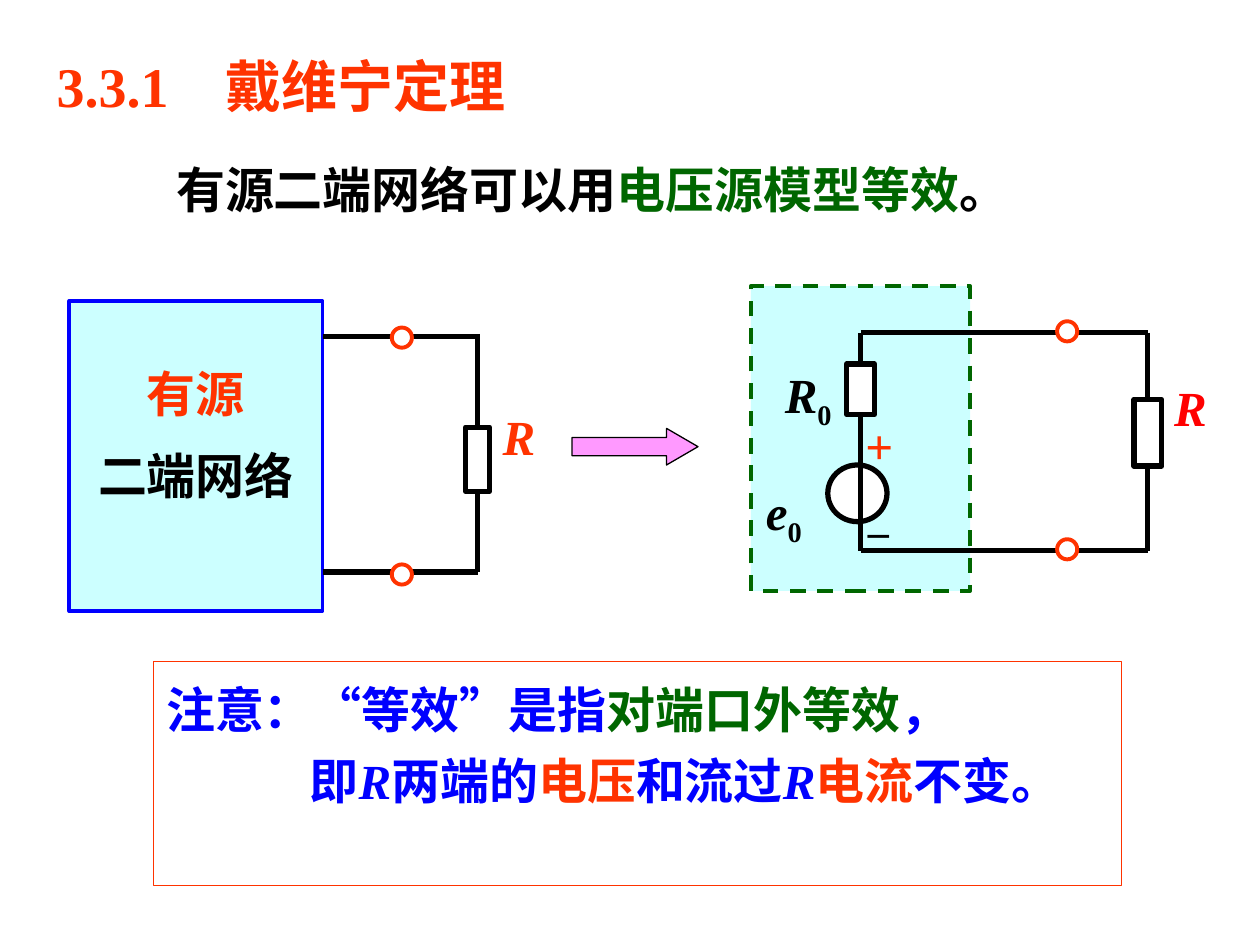
import pptx
import pptx.dml.color
import pptx.enum.dml
import pptx.enum.lang
import pptx.enum.shapes
import pptx.enum.text
import pptx.oxml
import pptx.oxml.ns
import pptx.util

Inches = pptx.util.Inches
Pt = pptx.util.Pt
SHAPE = pptx.enum.shapes.MSO_SHAPE
ALIGN = pptx.enum.text.PP_ALIGN
ANCHOR = pptx.enum.text.MSO_ANCHOR

BLACK, WHITE, RED, ORANGE = "000000", "FFFFFF", "FF0000", "FF3300"
BLUE, GREEN, CYAN, PINK = "0000FF", "006600", "CCFFFF", "FF99FF"

# Paragraphs are lists of runs: (text, colour, style), style "i" = italic, "sub" = subscript
TITLE = [[("3.3.1\t戴维宁定理", ORANGE)]]
STATEMENT = [[("有源二端网络可以用", BLACK), ("电压源模型等效", GREEN), ("。", BLACK)]]
NETWORK = [[("有源", ORANGE)], [("二端网络", BLACK)]]
NOTE = [
    [("注意：“等效”是指", BLUE), ("对端口外等效", GREEN), ("，", BLUE)],
    [("即", BLUE), ("R", BLUE, "i"), ("两端的", BLUE), ("电压", ORANGE),
     ("和流过", BLUE), ("R", BLUE, "i"), ("电流", ORANGE), ("不变。", BLUE)],
]

# Circuit labels: runs, box, wrap, size
LABELS = [
    ([("R", ORANGE, "i")], (3.89, 3.18, 0.46, 0.57), False, 28),
    ([("e", BLACK, "i"), ("0", BLACK, "sub")], (5.98, 3.77, 0.72, 0.63), True, 28),
    ([("R", BLACK, "i"), ("0", BLACK, "sub")], (6.13, 2.84, 0.78, 0.63), True, 28),
    ([("+", ORANGE)], (6.77, 3.25, 0.42, 0.57), False, 28),
    ([("_", BLACK)], (6.79, 3.84, 0.36, 0.5), False, 24),
    ([("R", RED, "i")], (9.22, 2.95, 0.46, 0.57), False, 28),
]

# Wire corners
LEFT_START, LEFT_END, LEFT_TOP, LEFT_BOTTOM = 2.56, 3.79, 2.67, 4.54
SOURCE_X, LOAD_X, RIGHT_TOP, RIGHT_BOTTOM = 6.83, 9.11, 2.64, 4.37
TERMINALS = [(3.19, 2.68), (3.19, 4.56), (8.47, 2.63), (8.47, 4.36)]
TERMINAL_SIZE = 0.16

deck = pptx.Presentation()
deck.slide_width, deck.slide_height = Inches(10), Inches(7.5)
slide = deck.slides.add_slide(deck.slide_layouts[6])


def rgb(colour):
    return pptx.dml.color.RGBColor.from_string(colour)


def write(target, paragraphs, size=28, spacing=None, align=ALIGN.LEFT, anchor=ANCHOR.TOP,
          wrap=True, bottom=0.05, indents=(), tab=None):
    """Fill a shape or text box; indents and tab are in inches."""
    frame = target.text_frame
    frame.word_wrap = wrap
    frame.vertical_anchor = anchor
    frame.margin_bottom = Inches(bottom)
    for index, runs in enumerate(paragraphs):
        paragraph = frame.paragraphs[0] if index == 0 else frame.add_paragraph()
        paragraph.alignment = align
        if spacing:
            paragraph.line_spacing = spacing
        properties = paragraph._p.get_or_add_pPr()
        if indents:
            properties.set("marL", str(Inches(indents[index])))
            properties.set("indent", "0")
        if tab:
            stops = pptx.oxml.parse_xml(
                f'<a:tabLst {pptx.oxml.ns.nsdecls("a")}>'
                f'<a:tab pos="{Inches(tab)}" algn="l"/></a:tabLst>')
            properties.append(stops)
        for text, colour, *style in runs:
            run = paragraph.add_run()
            run.text = text
            run.font.name = "Times New Roman"
            run.font.size = Pt(size)
            run.font.bold = True
            run.font.italic = "i" in style
            run.font.color.rgb = rgb(colour)
            run.font.language_id = pptx.enum.lang.MSO_LANGUAGE_ID.SIMPLIFIED_CHINESE
            if "sub" in style:
                run._r.get_or_add_rPr().set("baseline", "-25000")


def text_box(paragraphs, box, **text_format):
    write(slide.shapes.add_textbox(*map(Inches, box)), paragraphs, **text_format)


def draw(kind, box, fill, line, width, dashed=False):
    shape = slide.shapes.add_shape(kind, *map(Inches, box))
    shape.shadow.inherit = False
    if fill:
        shape.fill.solid()
        shape.fill.fore_color.rgb = rgb(fill)
    else:
        shape.fill.background()
    shape.line.color.rgb = rgb(line)
    shape.line.width = Pt(width)
    if dashed:
        shape.line.dash_style = pptx.enum.dml.MSO_LINE.DASH
    return shape


def wire(*ends):
    line = slide.shapes.add_connector(
        pptx.enum.shapes.MSO_CONNECTOR.STRAIGHT, *map(Inches, ends))
    line.line.color.rgb = rgb(BLACK)
    line.line.width = Pt(3)
    line._element.spPr.append(
        pptx.oxml.parse_xml(f'<a:effectLst {pptx.oxml.ns.nsdecls("a")}/>'))


def resistor(centre_x, top, width, height):
    draw(SHAPE.RECTANGLE, (centre_x - width / 2, top, width, height), WHITE, BLACK, 3)


# Heading, statement and note
text_box(TITLE, (0.35, 0.36, 4.81, 0.64), size=32, tab=1.34)
text_box(STATEMENT, (1.3, 1.12, 7.24, 0.66), spacing=1.2, anchor=ANCHOR.MIDDLE)
note = draw(SHAPE.RECTANGLE, (1.22, 5.25, 7.68, 1.78), None, ORANGE, 0.75)
write(note, NOTE, spacing=1.2, indents=(0, 1.14))

arrow = draw(SHAPE.RIGHT_ARROW, (4.54, 3.4, 1, 0.29), PINK, BLACK, 0.75)
arrow.adjustments[0], arrow.adjustments[1] = 0.5, 0.86

# Active network with its load
network = draw(SHAPE.RECTANGLE, (0.55, 2.39, 2.01, 2.46), CYAN, BLUE, 2.25)
write(network, NETWORK, spacing=1.4, align=ALIGN.CENTER, anchor=ANCHOR.MIDDLE,
      wrap=False, bottom=0.59)
for y in (LEFT_TOP, LEFT_BOTTOM):
    wire(LEFT_START, y, LEFT_END, y)
wire(LEFT_END, LEFT_TOP - 0.02, LEFT_END, LEFT_BOTTOM)
resistor(LEFT_END, 3.39, 0.19, 0.51)

# Equivalent voltage source with the same load
draw(SHAPE.RECTANGLE, (5.96, 2.27, 1.74, 2.42), CYAN, GREEN, 2.25, dashed=True)
draw(SHAPE.OVAL, (6.57, 3.69, 0.47, 0.45), WHITE, BLACK, 3)
for y in (RIGHT_TOP, RIGHT_BOTTOM):
    wire(SOURCE_X, y, LOAD_X, y)
for x in (SOURCE_X, LOAD_X):
    wire(x, RIGHT_TOP, x, RIGHT_BOTTOM)
resistor(LOAD_X, 3.17, 0.22, 0.53)
resistor(SOURCE_X, 2.89, 0.22, 0.4)

for runs, box, wrap, size in LABELS:
    text_box([runs], box, wrap=wrap, size=size)
for x, y in TERMINALS:
    corner = (x - TERMINAL_SIZE / 2, y - TERMINAL_SIZE / 2)
    draw(SHAPE.OVAL, (*corner, TERMINAL_SIZE, TERMINAL_SIZE), WHITE, ORANGE, 2.25)

deck.save("out.pptx")
